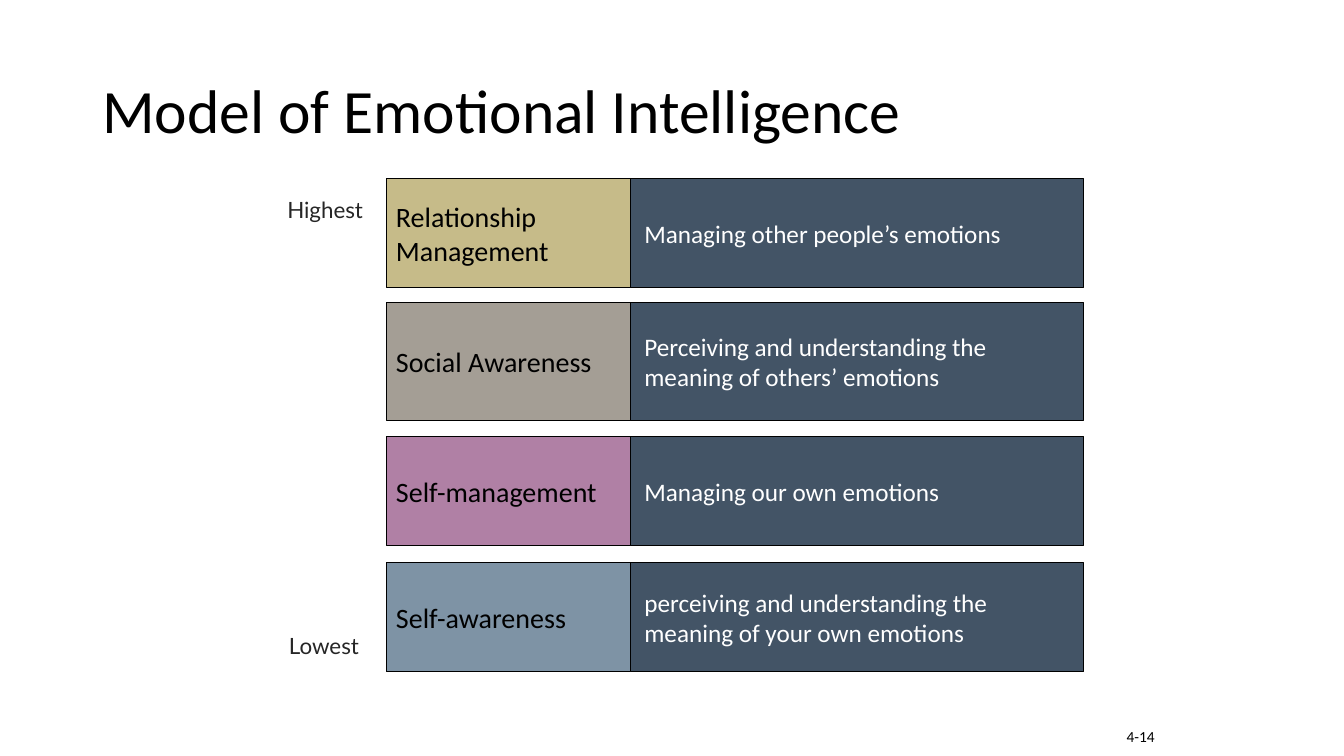
from dataclasses import dataclass

from pptx import Presentation
from pptx import util as u
from pptx.dml.color import RGBColor
from pptx.enum import shapes, text


@dataclass(frozen=True)
class Theme:
    font: str = "Calibri"
    label: str = "Lato"
    black: str = "000000"
    white: str = "FFFFFF"
    gray: str = "262626"
    navy: str = "435466"
    title: int = 44
    name: int = 20
    body: int = 18
    side: int = 16
    page: int = 11


@dataclass(frozen=True)
class Box:
    left: float
    top: float
    width: float
    height: float

    def cm(self) -> list[u.Cm]:
        return [u.Cm(n) for n in (self.left, self.top, self.width, self.height)]


@dataclass(frozen=True)
class Level:
    name: str
    about: str
    fill: str
    top: float
    height: float = 2.75


@dataclass(frozen=True)
class Label:
    words: str
    box: Box
    size: int
    font: str
    color: str
    align: text.PP_ALIGN = text.PP_ALIGN.CENTER


THEME = Theme()
NAME_LEFT, NAME_WIDTH, ABOUT_WIDTH = 9.73, 6.15, 11.43

LEVELS = [
    Level("Relationship Management", "Managing other people’s emotions", "C6BB89", 4.5),
    Level("Social Awareness", "Perceiving and understanding the meaning of others’ emotions",
          "A49E95", 7.62, 2.97),
    Level("Self-management", "Managing our own emotions", "B080A5", 11),
    Level("Self-awareness", "perceiving and understanding the meaning of your own emotions",
          "7E93A5", 14.18),
]

LABELS = [
    Label("Highest", Box(6.99, 4.83, 2.41, 0.94), THEME.side, THEME.label, THEME.gray),
    Label("Lowest", Box(7.01, 15.8, 2.31, 0.94), THEME.side, THEME.label, THEME.gray),
    Label("4-14", Box(28.14, 18.21, 1.32, 0.74), THEME.page, THEME.font, THEME.black,
          text.PP_ALIGN.LEFT),
]


def write(shape, words: str, *, size: int, color: str, font: str = THEME.font,
          align: text.PP_ALIGN = text.PP_ALIGN.LEFT, middle: bool = True,
          wrap: bool = True, inset: float = 0.25, pitch: float = 1.0) -> None:
    frame = shape.text_frame
    frame.word_wrap = wrap
    frame.margin_left = u.Cm(inset)
    frame.vertical_anchor = text.MSO_ANCHOR.MIDDLE if middle else text.MSO_ANCHOR.TOP
    para = frame.paragraphs[0]
    para.alignment = align
    para.line_spacing = pitch
    run = para.add_run()
    run.text = words
    run.font.name = font
    run.font.size = u.Pt(size)
    run.font.color.rgb = RGBColor.from_string(color)


def block(slide, box: Box, fill: str, line: float):
    shape = slide.shapes.add_shape(shapes.MSO_SHAPE.RECTANGLE, *box.cm())
    shape.shadow.inherit = False
    shape.fill.solid()
    shape.fill.fore_color.rgb = RGBColor.from_string(fill)
    shape.line.color.rgb = RGBColor.from_string(THEME.black)
    shape.line.width = u.Pt(line)
    return shape


def draw_level(slide, level: Level) -> None:
    name = block(slide, Box(NAME_LEFT, level.top, NAME_WIDTH, level.height), level.fill, 0.75)
    write(name, level.name, size=THEME.name, color=THEME.black)
    about = block(slide, Box(NAME_LEFT + NAME_WIDTH, level.top, ABOUT_WIDTH, level.height),
                  THEME.navy, 0.5)
    write(about, level.about, size=THEME.body, color=THEME.white, inset=0.36)


def draw_label(slide, label: Label) -> None:
    shape = slide.shapes.add_textbox(*label.box.cm())
    write(shape, label.words, size=label.size, color=label.color, font=label.font,
          align=label.align, middle=False, wrap=False)
    shape.text_frame.auto_size = text.MSO_AUTO_SIZE.SHAPE_TO_FIT_TEXT


def main() -> None:
    deck = Presentation()
    deck.slide_width, deck.slide_height = u.Cm(33.87), u.Cm(19.05)
    slide = deck.slides.add_slide(deck.slide_layouts[6])
    title = slide.shapes.add_textbox(*Box(2.33, 1.01, 29.21, 3.68).cm())
    write(title, "Model of Emotional Intelligence", size=THEME.title,
          color=THEME.black, pitch=0.9)
    for level in LEVELS:
        draw_level(slide, level)
    for label in LABELS:
        draw_label(slide, label)
    deck.save("out.pptx")


if __name__ == "__main__":
    main()
